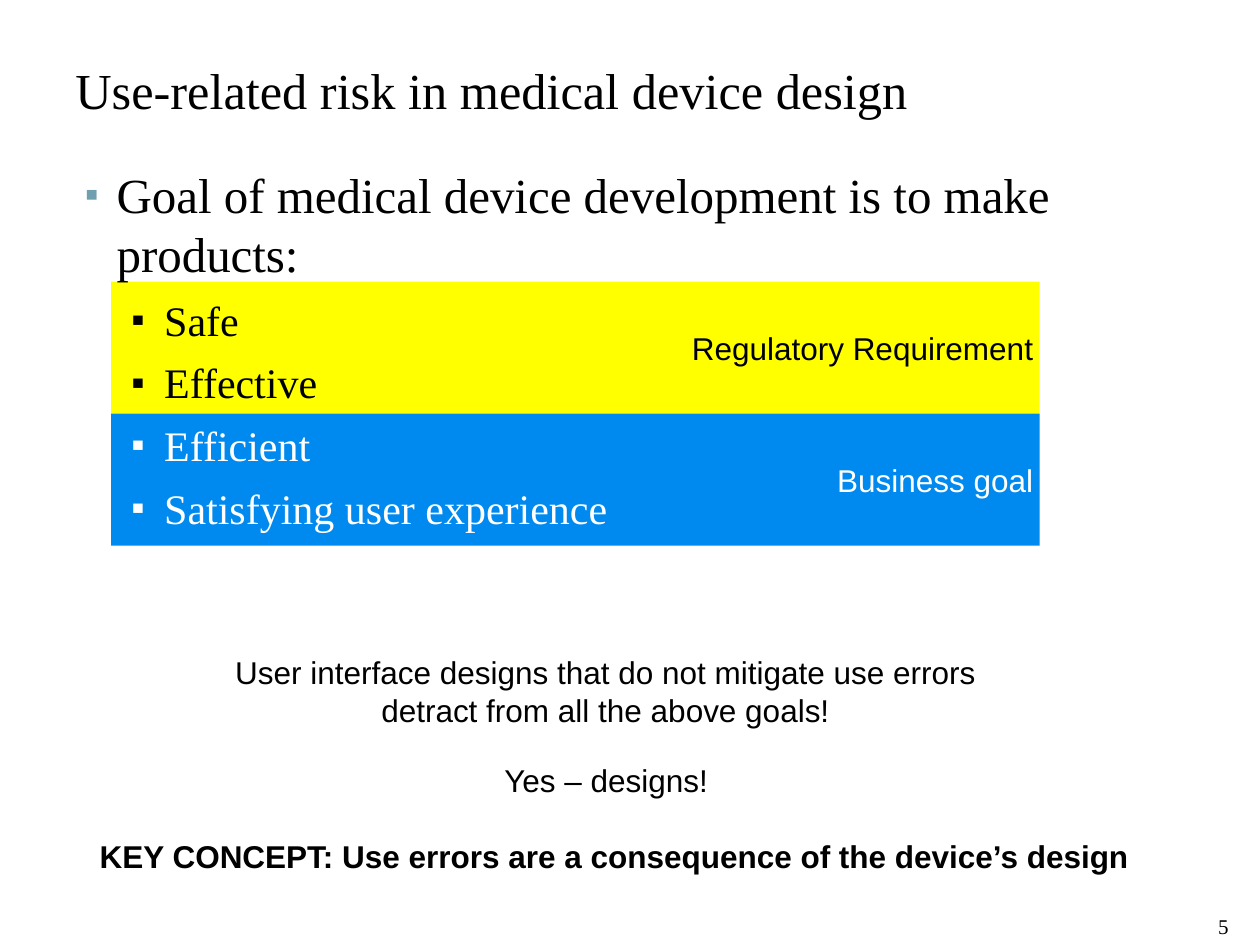
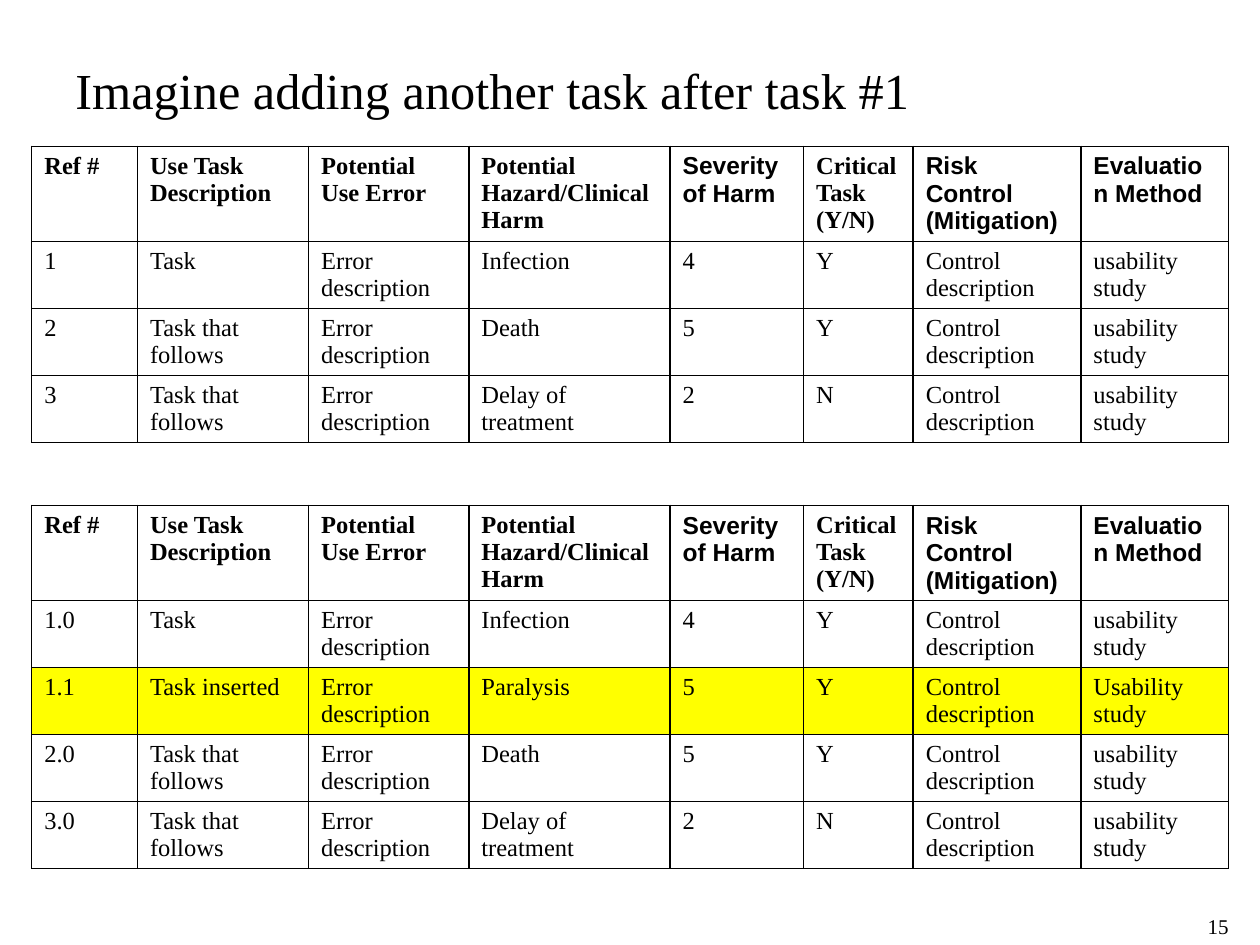
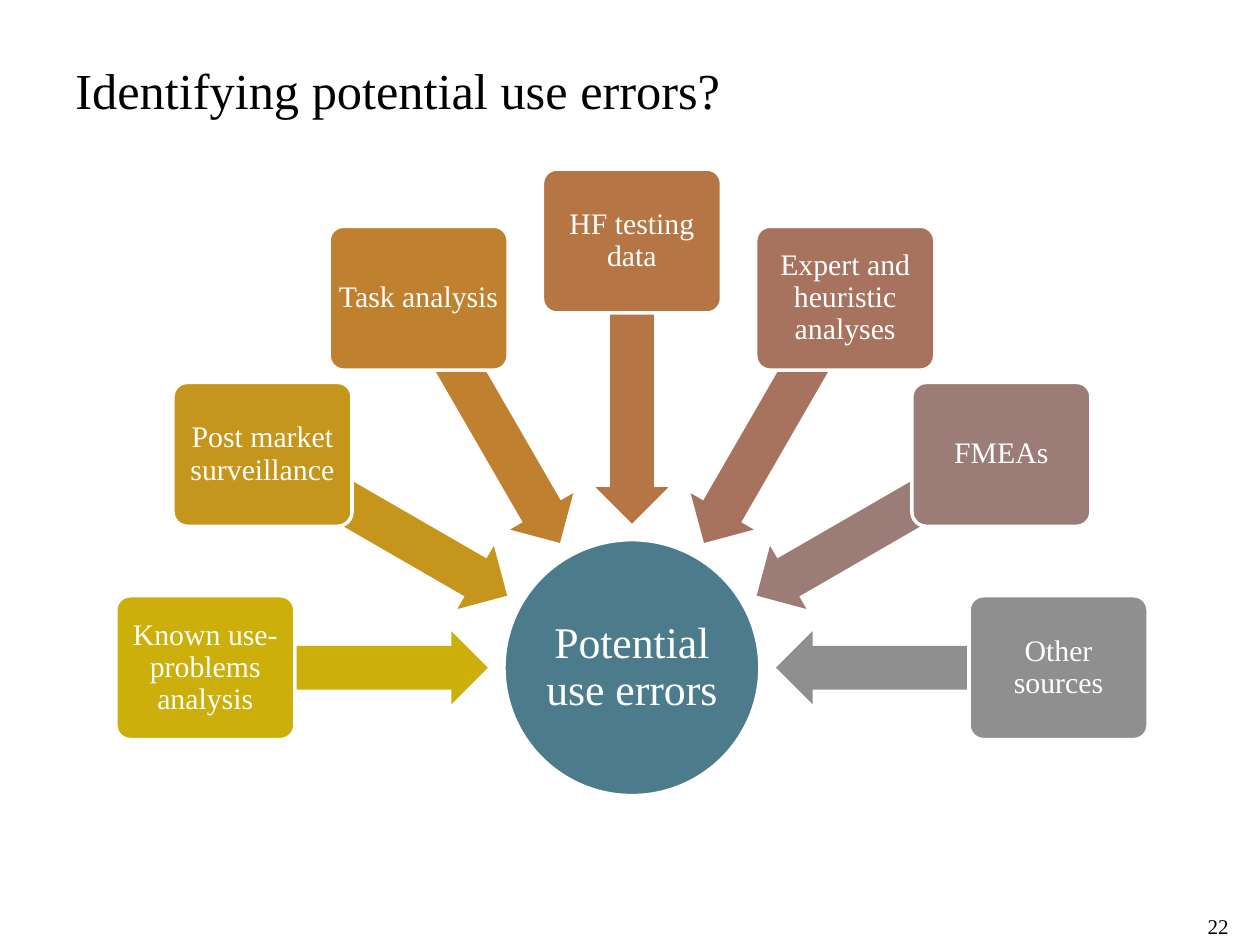
from math import cos, radians, sin

from pptx import Presentation
from pptx.dml.color import RGBColor
from pptx.enum.shapes import MSO_SHAPE
from pptx.enum.text import MSO_ANCHOR, MSO_AUTO_SIZE, PP_ALIGN
from pptx.oxml.xmlchemy import OxmlElement
from pptx.util import Cm, Pt

LEFT, CENTER, RIGHT = PP_ALIGN.LEFT, PP_ALIGN.CENTER, PP_ALIGN.RIGHT
TOP, MIDDLE, BOTTOM = MSO_ANCHOR.TOP, MSO_ANCHOR.MIDDLE, MSO_ANCHOR.BOTTOM
RECTANGLE, ELLIPSE = MSO_SHAPE.RECTANGLE, MSO_SHAPE.OVAL
ROUNDED, LEFT_ARROW = MSO_SHAPE.ROUNDED_RECTANGLE, MSO_SHAPE.LEFT_ARROW
FIXED_SIZE = MSO_AUTO_SIZE.NONE

SERIF, SANS = "Times New Roman", "Arial"
BLACK, WHITE, YELLOW, BLUE = "000000", "FFFFFF", "FFFF00", "008AEF"
TEAL, PALE_TEAL = "4C7C8B", "6EA0B0"
TITLE_ONLY, TITLE_AND_BODY = 5, 1
INSET = 0.13

COLUMN_WIDTHS = [2.13, 3.45, 3.23, 4.06, 2.69, 2.21, 3.38, 2.98]
HEADER_HEIGHT, ROW_HEIGHT = 1.91, 1.35
HEADERS = ["Ref #", "Use Task Description", "Potential Use Error",
           "Potential Hazard/Clinical Harm", "Severity of Harm",
           "Critical Task (Y/N)", "Risk Control (Mitigation)",
           "Evaluation Method"]
SANS_HEADERS = {"Severity of Harm", "Risk Control (Mitigation)",
                "Evaluation Method"}


def rgb(hex_colour):
    return RGBColor.from_string(hex_colour)


def place(shape, left, top, width, height):
    shape.left, shape.top = Cm(left), Cm(top)
    shape.width, shape.height = Cm(width), Cm(height)


def add_element(parent, tag, **attributes):
    child = OxmlElement(tag)
    for key, value in attributes.items():
        child.set(key, str(value))
    parent.append(child)
    return child


def set_bullet(paragraph, colour, percent, margin, hanging):
    properties = paragraph._p.get_or_add_pPr()
    properties.set("marL", str(Cm(margin)))
    properties.set("indent", str(-Cm(hanging)))
    bullet_colour = add_element(properties, "a:buClr")
    add_element(bullet_colour, "a:srgbClr", val=colour)
    add_element(properties, "a:buSzPct", val=percent * 1000)
    add_element(properties, "a:buChar", char="▪")


def set_borders(cell):
    properties = cell._tc.get_or_add_tcPr()
    for side in ("a:lnL", "a:lnR", "a:lnT", "a:lnB"):
        line = add_element(properties, side, w=Pt(1))
        fill = add_element(line, "a:solidFill")
        add_element(fill, "a:srgbClr", val=BLACK)


def format_paragraph(paragraph, size, colour=BLACK, font=SERIF, align=LEFT,
                     bold=False, spacing=1.0):
    paragraph.alignment = align
    paragraph.line_spacing = spacing
    for run in paragraph.runs:
        run.font.size, run.font.name, run.font.bold = Pt(size), font, bold
        run.font.color.rgb = rgb(colour)


def set_frame(frame, inset=INSET, anchor=TOP):
    frame.word_wrap = True
    frame.auto_size = FIXED_SIZE
    frame.vertical_anchor = anchor
    frame.margin_left = frame.margin_right = Cm(inset)
    frame.margin_top = frame.margin_bottom = Cm(inset)


class Deck:
    """Holds the shared style and the slide being built."""

    def __init__(self):
        self.presentation = Presentation()
        self.presentation.slide_width = Cm(25.4)
        self.presentation.slide_height = Cm(19.05)
        self.slide = None

    def new_slide(self, title, number, layout=TITLE_ONLY):
        layouts = self.presentation.slide_layouts
        self.slide = self.presentation.slides.add_slide(layouts[layout])
        heading = self.slide.shapes.title
        place(heading, 1.27, 1.07, 21.9, 1.47)
        frame = heading.text_frame
        frame.text = title
        set_frame(frame, 0.25, MIDDLE)
        format_paragraph(frame.paragraphs[0], 28.8)
        self.text(str(number), (22.66, 18.42, 2.11, 0.5), size=12, font=SERIF,
                  align=RIGHT, inset=0, anchor=BOTTOM)

    def text(self, words, box, size=18, font=SANS, align=CENTER, bold=False,
             inset=INSET, anchor=TOP):
        frame = self.slide.shapes.add_textbox(*map(Cm, box)).text_frame
        frame.text = words
        set_frame(frame, inset, anchor)
        format_paragraph(frame.paragraphs[0], size, BLACK, font, align, bold)

    def shape(self, kind, box, fill, outline=None, words="", inset=INSET,
              **text_style):
        shape = self.slide.shapes.add_shape(kind, *map(Cm, box))
        shape.shadow.inherit = False
        shape.fill.solid()
        shape.fill.fore_color.rgb = rgb(fill)
        if outline:
            shape.line.color.rgb = rgb(outline)
            shape.line.width = Pt(2)
        else:
            shape.line.fill.background()
        if words:
            shape.text_frame.text = words
            set_frame(shape.text_frame, inset, MIDDLE)
            format_paragraph(shape.text_frame.paragraphs[0], **text_style)
        return shape

    def body(self, lead, points):
        """Fill the body with a lead line and (text, colour) sub-points."""
        body = self.slide.placeholders[1]
        self.slide.shapes._spTree.append(body._element)
        place(body, 1.27, 3.18, 21.9, 15.24)
        frame = body.text_frame
        frame.text = "\n".join([lead] + [words for words, _ in points])
        set_frame(frame)
        first, *rest = frame.paragraphs
        first.space_before = Pt(0)
        set_bullet(first, PALE_TEAL, 80, 0.95, 0.64)
        format_paragraph(first, 28)
        for paragraph, (_, colour) in zip(rest, points):
            paragraph.level = 1
            paragraph.space_before = Pt(7)
            set_bullet(paragraph, colour, 90, 1.91, 0.66)
            format_paragraph(paragraph, 24, colour)

    def table(self, top, rows, highlighted=None):
        """Draw the task table; the row whose reference matches is yellow."""
        height = HEADER_HEIGHT + ROW_HEIGHT * len(rows)
        table = self.slide.shapes.add_table(
            len(rows) + 1, len(HEADERS), Cm(0.64), Cm(top),
            Cm(sum(COLUMN_WIDTHS)), Cm(height)).table
        table.first_row = table.horz_banding = False
        for column, width in zip(table.columns, COLUMN_WIDTHS):
            column.width = Cm(width)
        for index, values in enumerate([HEADERS] + rows):
            is_header = index == 0
            table.rows[index].height = Cm(HEADER_HEIGHT if is_header
                                          else ROW_HEIGHT)
            for cell, value in zip(table.rows[index].cells, values):
                cell.text_frame.text = value
                font = SANS if value in SANS_HEADERS else SERIF
                format_paragraph(cell.text_frame.paragraphs[0], 14, font=font,
                                 bold=is_header)
                set_borders(cell)
                if values[0] == highlighted:
                    cell.fill.solid()
                    cell.fill.fore_color.rgb = rgb(YELLOW)
                else:
                    cell.fill.background()


def task_row(reference, task, harm, severity, critical,
             method="usability study"):
    return [reference, task, "Error description", harm, severity, critical,
            "Control description", method]


def build_goals(deck):
    deck.new_slide("Use-related risk in medical device design", 5,
                   TITLE_AND_BODY)
    goal_bands = [("Regulatory Requirement", YELLOW, BLACK),
                  ("Business goal", BLUE, WHITE)]
    band_height = 2.66
    for index, (words, fill, colour) in enumerate(goal_bands):
        deck.shape(RECTANGLE, (2.24, 5.68 + index * band_height, 18.72,
                               band_height),
                   fill, words=words, size=18, colour=colour, font=SANS,
                   align=RIGHT)
    deck.body("Goal of medical device development is to make products:",
              [("Safe", BLACK), ("Effective", BLACK), ("Efficient", WHITE),
               ("Satisfying user experience", WHITE)])
    deck.text("User interface designs that do not mitigate use errors "
              "detract from all the above goals!", (4.37, 13.03, 15.67, 1.8))
    deck.text("Yes – designs!", (3.33, 15.21, 17.78, 1.02))
    deck.text("KEY CONCEPT: Use errors are a consequence of the device’s "
              "design", (0, 16.74, 24.77, 1.02), bold=True)


def build_task_tables(deck):
    deck.new_slide("Imagine adding another task after task #1", 15)
    follows = "Task that follows"
    tasks = [("1", "Task", "Infection", "4", "Y"),
             ("2", follows, "Death", "5", "Y"),
             ("3", follows, "Delay of treatment", "2", "N")]
    deck.table(2.95, [task_row(*task) for task in tasks])
    renumbered = [task_row(f"{number}.0", *details)
                  for number, *details in tasks]
    renumbered.insert(1, task_row("1.1", "Task inserted", "Paralysis", "5",
                                  "Y", "Usability study"))
    deck.table(10.19, renumbered, highlighted="1.1")


def build_error_sources(deck):
    deck.new_slide("Identifying potential use errors?", 22)
    hub_x, hub_y, hub_size = 12.74, 13.46, 5.16
    source_orbit, arrow_orbit, step = 8.6, 5.75, 30
    label_style = {"colour": WHITE, "align": CENTER, "spacing": 0.9}

    def around_hub(angle, orbit, width, height):
        """Box centred on the orbit, with angles clockwise from the left."""
        x = hub_x - orbit * cos(radians(angle))
        y = hub_y - orbit * sin(radians(angle))
        return x - width / 2, y - height / 2, width, height

    deck.shape(ELLIPSE, around_hub(0, 0, hub_size, hub_size), TEAL, WHITE,
               "Potential use errors", 0.05, size=25, **label_style)
    sources = [("Known use- problems analysis", "CCAF0A"),
               ("Post market surveillance", "C6951C"),
               ("Task analysis", "BF812F"),
               ("HF testing data", "B67544"),
               ("Expert and heuristic analyses", "A8735E"),
               ("FMEAs", "9B7C77"),
               ("Other sources", "8F8F8F")]
    for index, (source, colour) in enumerate(sources):
        angle = index * step
        arrow = deck.shape(LEFT_ARROW,
                           around_hub(angle, arrow_orbit, 5.69, 1.47), colour)
        arrow.adjustments[0], arrow.adjustments[1] = 0.6, 0.5
        arrow.rotation = (180 + angle) % 360
        card = deck.shape(ROUNDED, around_hub(angle, source_orbit, 3.61, 2.9),
                          colour, WHITE, source, 0.08, size=17, **label_style)
        card.adjustments[0] = 0.1


def main():
    deck = Deck()
    build_goals(deck)
    build_task_tables(deck)
    build_error_sources(deck)
    deck.presentation.save("out.pptx")


if __name__ == "__main__":
    main()
